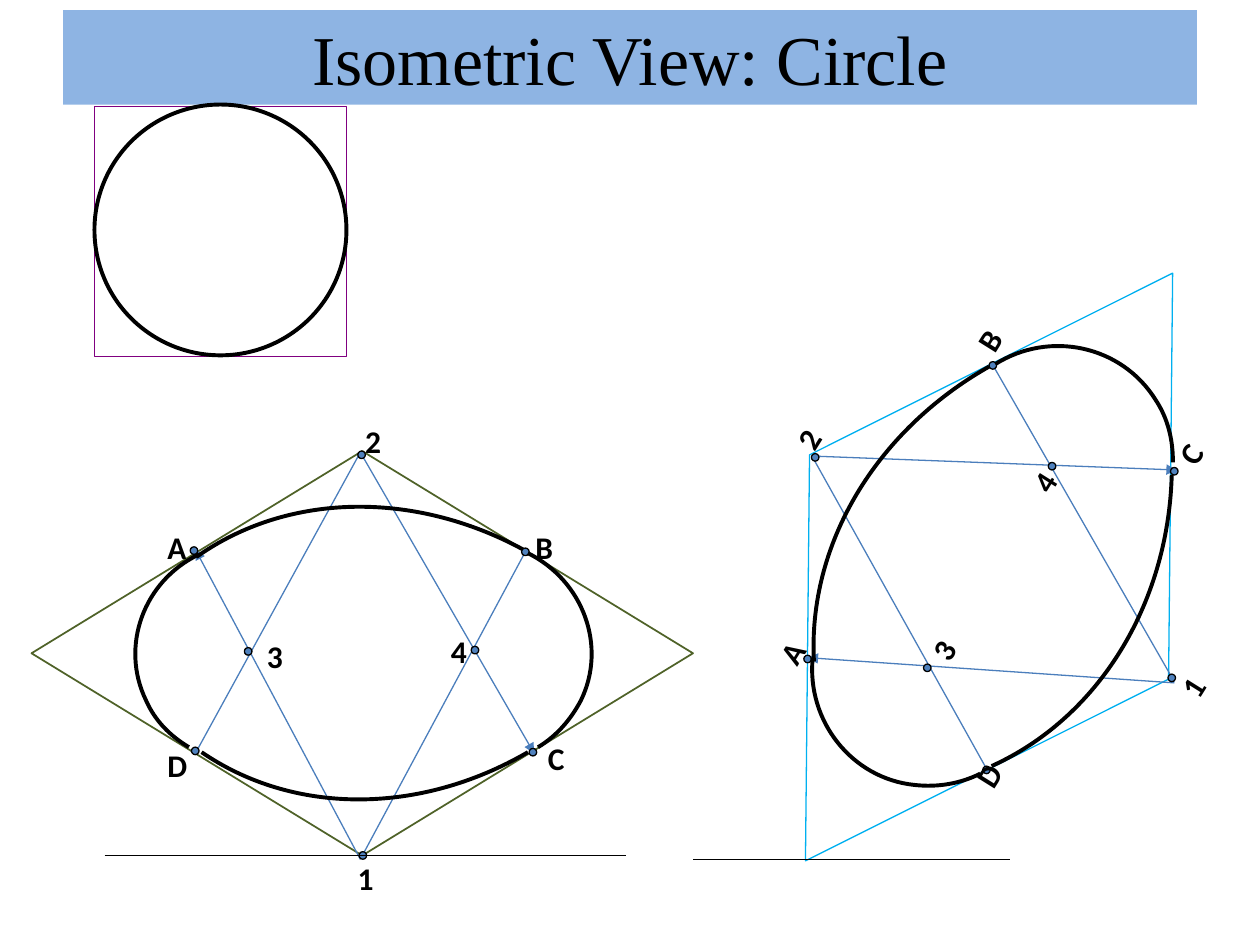
import math
from dataclasses import dataclass

from lxml import etree
from pptx import Presentation
from pptx.dml.color import RGBColor
from pptx.enum import shapes, text
from pptx.oxml import ns
from pptx.util import Inches, Pt


@dataclass(frozen=True)
class Theme:
    banner: str = "8EB4E3"
    ink: str = "000000"
    paper: str = "FFFFFF"
    dot: str = "4F81BD"
    construction: str = "4B7EBC"
    left_rhombus: str = "4F6228"
    right_rhombus: str = "00B0F0"
    square: str = "800080"
    title_font: str = "Times New Roman"
    label_font: str = "Calibri"
    title_size: int = 40
    label_size: int = 18
    thin: float = 0.75
    thick: float = 2.25


THEME = Theme()
DOT_SIZE = 0.06
LABEL_HEIGHT = 0.4

# Each view: rhombus box, dots and labels by left and top,
# construction lines as (from, to, arrow), arcs as (rotation, Bezier points)
LEFT_VIEW = dict(
    rotation=0,
    rhombus=(0.25, 3.58, 5.25, 3.21),
    rhombus_fill=None, rhombus_line=THEME.left_rhombus, rhombus_width=1,
    dots=[(1.51, 4.34), (1.52, 5.93), (4.2, 5.94), (4.14, 4.35),
          (2.85, 6.76), (2.84, 3.58), (1.94, 5.14), (3.74, 5.13)],
    lines=[((2.86, 6.82), (1.55, 4.36), True),
           ((2.86, 6.82), (4.18, 4.36), False),
           ((2.86, 3.59), (1.55, 5.98), False),
           ((2.86, 3.59), (4.24, 5.98), True)],
    labels={"1": (2.74, 6.77), "4": (3.48, 4.97), "2": (2.8, 3.3),
            "3": (2.02, 5.01), "A": (1.23, 4.14), "B": (4.15, 4.14),
            "D": (1.23, 5.87), "C": (4.25, 5.82)},
    arcs=[
        (312.9, [(1.56, 4.42), (2.28, 3.91), (3.28, 3.89), (4.15, 4.36)]),
        (45.9, [(1.6, 5.97), (2.33, 6.47), (3.33, 6.47), (4.19, 5.97)]),
        (25.7, [(4.19, 4.39), (4.63, 4.61), (4.82, 5.13), (4.61, 5.56),
                (4.53, 5.71), (4.42, 5.84), (4.27, 5.93)]),
        (334.3, [(1.58, 4.4), (1.14, 4.61), (0.95, 5.13), (1.16, 5.56),
                 (1.23, 5.72), (1.35, 5.84), (1.5, 5.93)]),
    ],
)
RIGHT_VIEW = dict(
    rotation=302,
    rhombus=(5.1, 2.82, 5.5, 3.36),
    rhombus_fill=THEME.paper, rhombus_line=THEME.right_rhombus,
    rhombus_width=THEME.thin,
    dots=[(6.38, 5.2), (7.8, 6.08), (9.29, 3.71), (7.85, 2.87),
          (9.27, 5.35), (6.44, 3.6), (7.33, 5.27), (8.32, 3.67)],
    lines=[((9.32, 5.42), (6.41, 5.22), True),
           ((9.32, 5.41), (7.87, 2.88), False),
           ((6.45, 3.63), (7.84, 6.12), False),
           ((6.45, 3.62), (9.34, 3.73), True)],
    labels={"1": (9.3, 5.25), "4": (8.12, 3.62), "2": (6.25, 3.28),
            "3": (7.32, 4.95), "A": (6.1, 4.97), "B": (7.67, 2.48),
            "D": (7.66, 5.94), "C": (9.27, 3.38)},
    arcs=[
        (254.9, [(6.46, 5.25), (6.41, 4.32), (6.95, 3.42), (7.85, 2.91)]),
        (347.9, [(7.87, 6.08), (8.71, 5.7), (9.27, 4.81), (9.3, 3.77)]),
        (327.7, [(7.9, 2.89), (8.33, 2.62), (8.9, 2.74), (9.17, 3.17),
                 (9.27, 3.32), (9.31, 3.49), (9.31, 3.67)]),
        (276.3, [(6.45, 5.22), (6.4, 5.72), (6.76, 6.18), (7.26, 6.23),
                 (7.44, 6.25), (7.62, 6.22), (7.78, 6.14)]),
    ],
)


def color(value):
    return RGBColor.from_string(value)


def style(shape, fill, line, width):
    shape.shadow.inherit = False
    if fill:
        shape.fill.solid()
        shape.fill.fore_color.rgb = color(fill)
    else:
        shape.fill.background()
    shape.line.color.rgb = color(line)
    shape.line.width = Pt(width)


def set_font(paragraph, name, size, bold):
    paragraph.font.name = name
    paragraph.font.size = Pt(size)
    paragraph.font.bold = bold
    paragraph.font.color.rgb = color(THEME.ink)


def add_title(slide, words):
    title = slide.shapes.title
    title.left, title.top = Inches(0.5), Inches(0.08)
    title.width, title.height = Inches(9), Inches(0.75)
    title.fill.solid()
    title.fill.fore_color.rgb = color(THEME.banner)
    title.text_frame.text = words
    title.text_frame.vertical_anchor = text.MSO_ANCHOR.MIDDLE
    paragraph = title.text_frame.paragraphs[0]
    paragraph.alignment = text.PP_ALIGN.CENTER
    set_font(paragraph, THEME.title_font, THEME.title_size, False)


def add_outline(slide, kind, box, fill, line, width, rotation=0):
    shape = slide.shapes.add_shape(kind, *map(Inches, box))
    shape.rotation = rotation
    style(shape, fill, line, width)


def add_line(slide, start, end, line, arrow=False):
    connector = slide.shapes.add_connector(
        shapes.MSO_CONNECTOR.STRAIGHT, *map(Inches, start + end))
    connector.line.color.rgb = color(line)
    connector.line.width = Pt(THEME.thin)
    if arrow:
        etree.SubElement(connector.line._get_or_add_ln(), ns.qn("a:tailEnd"),
                         type="triangle")
    etree.SubElement(connector._element.spPr, ns.qn("a:effectLst"))


def add_label(slide, words, place, rotation):
    width = 0.34 if words.isdigit() else 0.38
    label = slide.shapes.add_textbox(*map(Inches, (*place, width, LABEL_HEIGHT)))
    label.rotation = rotation
    label.text_frame.word_wrap = False
    label.text_frame.auto_size = text.MSO_AUTO_SIZE.SHAPE_TO_FIT_TEXT
    label.text_frame.text = words
    set_font(label.text_frame.paragraphs[0], THEME.label_font,
             THEME.label_size, True)


def turn(point, pivot, degrees):
    angle = math.radians(degrees)
    dx, dy = point[0] - pivot[0], point[1] - pivot[1]
    return (round(pivot[0] + dx * math.cos(angle) - dy * math.sin(angle)),
            round(pivot[1] + dx * math.sin(angle) + dy * math.cos(angle)))


def add_arc(slide, rotation, points):
    """Draw Bezier points upright, then turn the shape into place."""
    points = [(Inches(x), Inches(y)) for x, y in points]
    start = points[0]
    upright = [turn(point, start, -rotation) for point in points]
    builder = slide.shapes.build_freeform(*start)
    builder.add_line_segments(upright[1:], close=False)
    arc = builder.convert_to_shape()
    # Every three line points become one cubic curve
    segments = list(arc._element.iter(ns.qn("a:lnTo")))
    for first in range(0, len(segments), 3):
        curve = etree.Element(ns.qn("a:cubicBezTo"))
        segments[first].addprevious(curve)
        for segment in segments[first:first + 3]:
            curve.append(segment[0])
            segment.getparent().remove(segment)
    # A shape turns about its own centre, so move that centre to match
    half_width, half_height = arc.width // 2, arc.height // 2
    x, y = turn((arc.left + half_width, arc.top + half_height), start, rotation)
    arc.left, arc.top = x - half_width, y - half_height
    arc.rotation = rotation
    style(arc, None, THEME.ink, THEME.thick)


def add_view(slide, view):
    rotation = view["rotation"]
    add_outline(slide, shapes.MSO_SHAPE.DIAMOND, view["rhombus"],
                view["rhombus_fill"], view["rhombus_line"],
                view["rhombus_width"], rotation)
    for start, end, arrow in view["lines"]:
        add_line(slide, start, end, THEME.construction, arrow)
    for place in view["dots"]:
        add_outline(slide, shapes.MSO_SHAPE.OVAL, (*place, DOT_SIZE, DOT_SIZE),
                    THEME.dot, THEME.ink, THEME.thin, rotation)
    for words, place in view["labels"].items():
        add_label(slide, words, place, rotation)
    for arc in view["arcs"]:
        add_arc(slide, *arc)


def main():
    presentation = Presentation()
    presentation.slide_width, presentation.slide_height = Inches(10), Inches(7.5)
    slide = presentation.slides.add_slide(presentation.slide_layouts[5])
    add_title(slide, "Isometric View: Circle")

    # Isometric views with their ground lines
    add_view(slide, LEFT_VIEW)
    add_line(slide, (0.83, 6.79), (4.97, 6.79), THEME.ink)
    add_view(slide, RIGHT_VIEW)
    add_line(slide, (5.5, 6.82), (8.02, 6.82), THEME.ink)

    # Circle in its square
    add_outline(slide, shapes.MSO_SHAPE.RECTANGLE, (0.75, 0.84, 2, 1.99),
                THEME.paper, THEME.square, 0.25)
    add_outline(slide, shapes.MSO_SHAPE.OVAL, (0.75, 0.83, 2, 1.99),
                THEME.paper, THEME.ink, THEME.thick)
    presentation.save("out.pptx")


if __name__ == "__main__":
    main()
